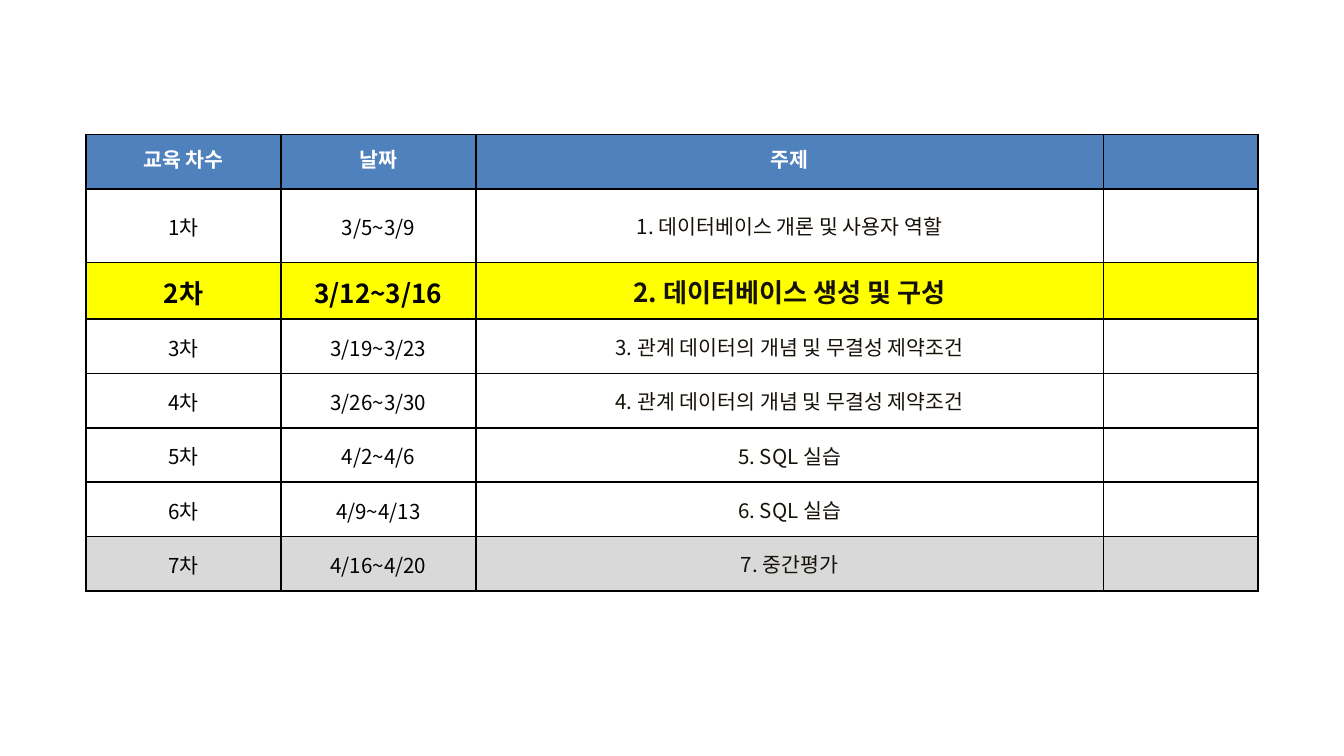
"""Build a slide with the course schedule table."""
from lxml import etree
from pptx import Presentation
from pptx.dml.color import RGBColor as RGB
from pptx.enum.text import MSO_ANCHOR as Anchor, PP_ALIGN as Align
from pptx.oxml.ns import qn
from pptx.util import Inches, Pt

FACE = "Noto Sans CJK KR"
BLACK = RGB(0, 0, 0)
INK = RGB(0x16, 0x12, 0x0A)
WHITE = RGB(255, 255, 255)
BLUE = RGB(0x4F, 0x81, 0xBD)
YELLOW = RGB(255, 255, 0)
GRAY = RGB(0xD9, 0xD9, 0xD9)


def add_edges(cell):
    props = cell._tc.get_or_add_tcPr()
    for spot, side in enumerate(("lnL", "lnR", "lnT", "lnB")):
        line = etree.Element(qn(f"a:{side}"), w=str(Pt(1)))
        fill = etree.SubElement(line, qn("a:solidFill"))
        etree.SubElement(fill, qn("a:srgbClr"), val=str(BLACK))
        props.insert(spot, line)


rows = [
    ("교육 차수", "날짜", "주제", ""),
    ("1차", "3/5~3/9", "1. 데이터베이스 개론 및 사용자 역할", ""),
    ("2차", "3/12~3/16", "2. 데이터베이스 생성 및 구성", ""),
    ("3차", "3/19~3/23", "3. 관계 데이터의 개념 및 무결성 제약조건", ""),
    ("4차", "3/26~3/30", "4. 관계 데이터의 개념 및 무결성 제약조건", ""),
    ("5차", "4/2~4/6", "5. SQL 실습", ""),
    ("6차", "4/9~4/13", "6. SQL 실습", ""),
    ("7차", "4/16~4/20", "7. 중간평가", ""),
]
fills = {0: BLUE, 2: YELLOW, 7: GRAY}
tall = {1: Inches(0.55), 2: Inches(0.42)}
row_height = Inches(2.43) // 6
widths = (1.45, 1.45, 4.67, 1.15)

deck = Presentation()
deck.slide_width = Inches(10)
deck.slide_height = deck.slide_width * 9 // 16
slide = deck.slides.add_slide(deck.slide_layouts[6])
table = slide.shapes.add_table(
    len(rows), len(widths), Inches(0.64), Inches(1), Inches(8.72), Inches(3.39)
).table
table.first_row = table.horz_banding = False
for col, width in zip(table.columns, widths):
    col.width = Inches(width)

for r, texts in enumerate(rows):
    table.rows[r].height = tall.get(r, row_height)
    head = r == 0
    for c, text in enumerate(texts):
        cell = table.cell(r, c)
        if r in fills:
            cell.fill.solid()
            cell.fill.fore_color.rgb = fills[r]
        else:
            cell.fill.background()
        add_edges(cell)
        side, top, base = (0.13, 0.07, 0.07) if head else (0.01, 0.01, 0) if c < 2 else (0, 0, 0)
        look = {
            "margin_left": Inches(side),
            "margin_right": Inches(side),
            "margin_top": Inches(top),
            "margin_bottom": Inches(base),
            "vertical_anchor": Anchor.TOP if head else Anchor.MIDDLE,
        }
        if not text:
            look.update(margin_top=0, margin_bottom=0)
        for name, value in look.items():
            setattr(cell, name, value)
        if not text:
            continue
        para = cell.text_frame.paragraphs[0]
        para.alignment = Align.CENTER
        run = para.add_run()
        run.text = text
        style = {"name": FACE, "size": Pt(14 if r == 2 else 11), "bold": r in (0, 2)}
        for name, value in style.items():
            setattr(run.font, name, value)
        run.font.color.rgb = WHITE if head else INK if c == 2 else BLACK
        etree.SubElement(run._r.get_or_add_rPr(), qn("a:ea"), typeface=FACE)

deck.save("out.pptx")
